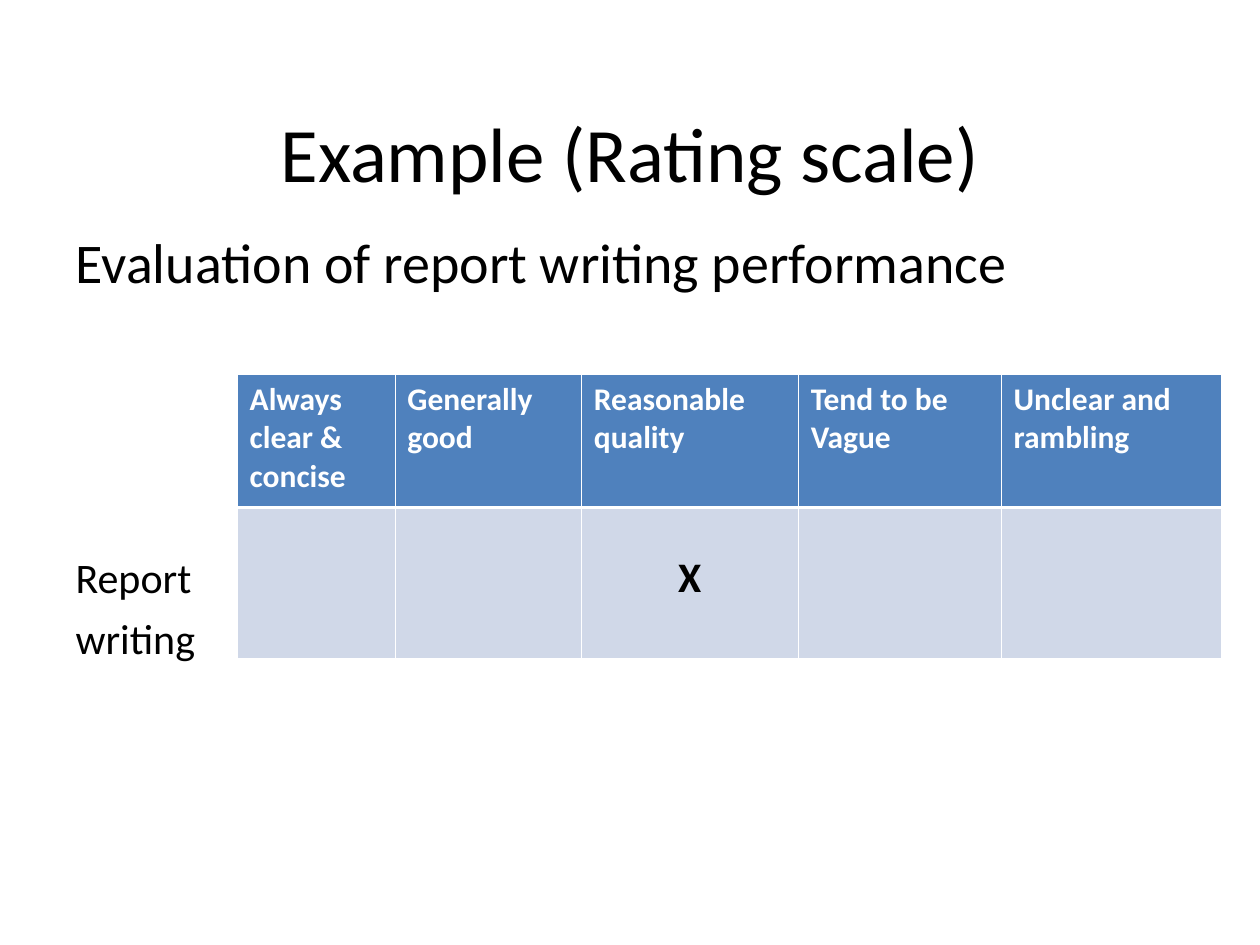
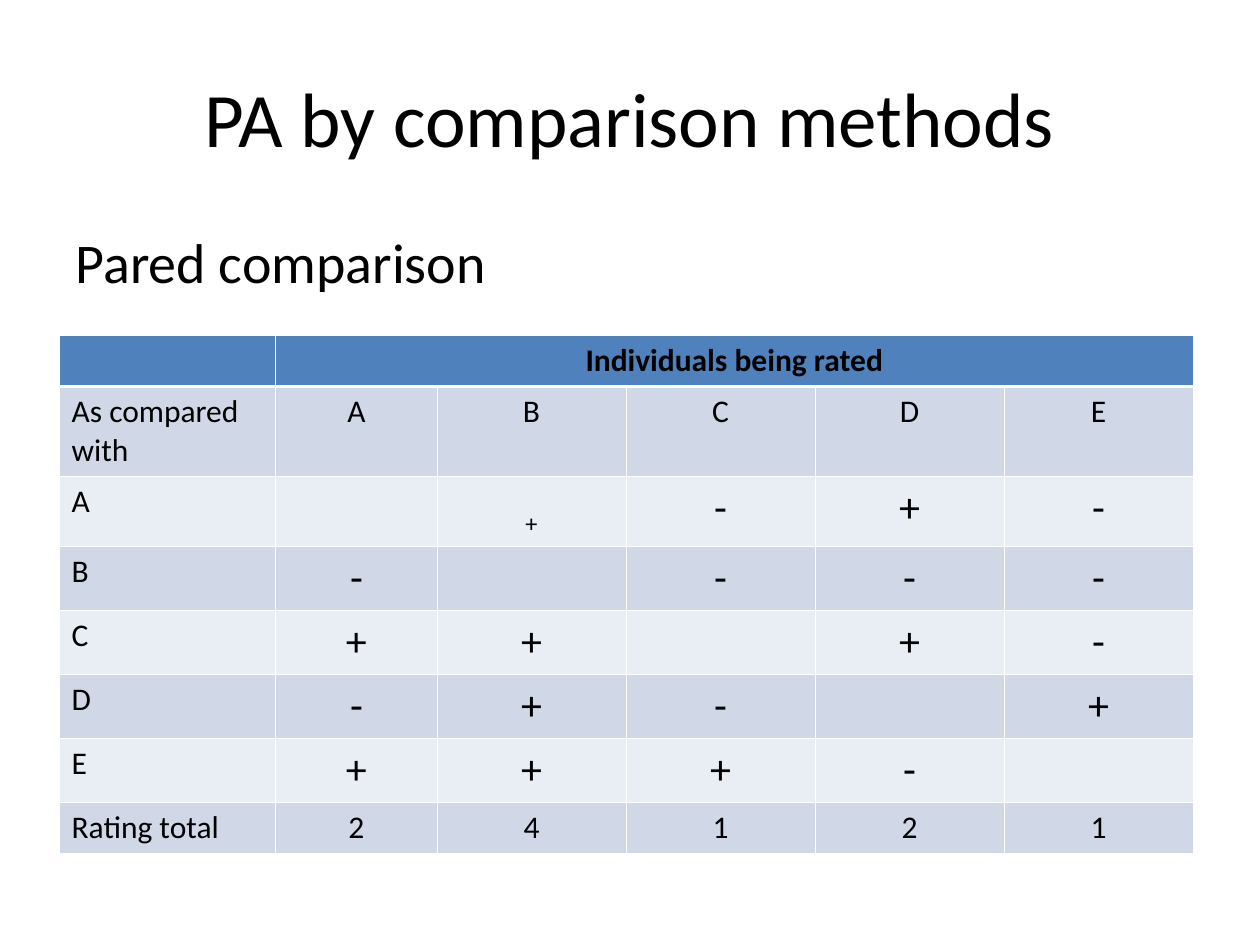
"""Build two slides on performance appraisal: a rating scale and a paired comparison."""
from lxml.etree import SubElement
from pptx import Presentation
from pptx.dml.color import RGBColor
from pptx.enum.text import MSO_ANCHOR as Anchor, MSO_AUTO_SIZE as AutoSize, PP_ALIGN as Align
from pptx.oxml.ns import qn
from pptx.util import Cm, Pt

FONT = "Calibri"
COLORS = {"text": "000000", "white": "FFFFFF", "header": "4F81BD",
          "band_dark": "D0D8E8", "band_light": "E9EDF4"}
MARKS = ("+", "-", "X")
THIN, THICK = Pt(0.45), Pt(1.47)


def format_runs(paragraph, size, color="text", bold=False):
    for run in paragraph.runs:
        run.font.name = FONT
        run.font.size = Pt(size)
        run.font.bold = bold
        run.font.color.rgb = RGBColor.from_string(COLORS[color])


def place(placeholder, left, top, width, height):
    placeholder.left, placeholder.top = Cm(left), Cm(top)
    placeholder.width, placeholder.height = Cm(width), Cm(height)
    placeholder.text_frame.auto_size = AutoSize.NONE


def add_titled_slide(deck, heading, top, height):
    slide = deck.slides.add_slide(deck.slide_layouts[1])
    title = slide.shapes.title
    place(title, 1.27, top, 22.86, height)
    title.text_frame.text = heading
    title.text_frame.vertical_anchor = Anchor.MIDDLE
    title.text_frame.paragraphs[0].alignment = Align.CENTER
    format_runs(title.text_frame.paragraphs[0], 44)
    return slide


def fill_body(slide, lines):
    """Write (text, size, space before) lines without bullets."""
    body = slide.placeholders[1]
    place(body, 1.27, 4.45, 22.86, 12.57)
    body.text_frame.text = "\n".join(text for text, _, _ in lines)
    for paragraph, (_, size, gap) in zip(body.text_frame.paragraphs, lines):
        properties = paragraph._p.get_or_add_pPr()
        properties.set("marL", str(Cm(0.95)))
        properties.set("indent", str(-Cm(0.95)))
        SubElement(properties, qn("a:buNone"))
        paragraph.space_before = Pt(gap)
        format_runs(paragraph, size)


def draw_borders(cell, row):
    top = THICK if row == 1 else THIN
    bottom = THICK if row == 0 else THIN
    for side, width in (("L", THIN), ("R", THIN), ("T", top), ("B", bottom)):
        line = SubElement(cell._tc.get_or_add_tcPr(), qn(f"a:ln{side}"), w=str(width))
        SubElement(SubElement(line, qn("a:solidFill")), qn("a:srgbClr"), val=COLORS["white"])


def add_rating_table(slide, rows, left, top, widths, heights, header_color, row_labels):
    """Add a banded table; with row labels, all later columns are centred."""
    table = slide.shapes.add_table(len(rows), len(widths), Cm(left), Cm(top),
                                   Cm(sum(widths)), Cm(sum(heights))).table
    table.first_row = table.horz_banding = False
    for column, width in zip(table.columns, widths):
        column.width = Cm(width)
    for row, (texts, height) in enumerate(zip(rows, heights)):
        table.rows[row].height = Cm(height)
        band = "header" if row == 0 else "band_dark" if row % 2 else "band_light"
        for column, text in enumerate(texts):
            cell = table.cell(row, column)
            draw_borders(cell, row)
            cell.fill.solid()
            cell.fill.fore_color.rgb = RGBColor.from_string(COLORS[band])
            cell.text_frame.text = text
            paragraph = cell.text_frame.paragraphs[0]
            centred = text in MARKS or (row_labels and column > 0)
            paragraph.alignment = Align.CENTER if centred else Align.LEFT
            format_runs(paragraph, 24 if text in MARKS else 18,
                        header_color if row == 0 else "text", row == 0 or text == "X")
    return table


def build_rating_scale(deck):
    slide = add_titled_slide(deck, "Example (Rating scale)", 1.96, 2.21)
    fill_body(slide, [("Evaluation of report writing performance", 32, 0),
                      ("Report", 24, 147), ("writing", 24, 6)])
    grades = ["Always clear & concise", "Generally good", "Reasonable quality",
              "Tend to be Vague", "Unclear and rambling"]
    scale = add_rating_table(slide, [grades, ["", "", "X", "", ""]], 4.78, 7.54,
                             [3.18, 3.76, 4.37, 4.09, 4.45], [2.69, 3.05], "white", False)
    scale.cell(1, 2).margin_top = Cm(0.9)


def build_paired_comparison(deck):
    slide = add_titled_slide(deck, "PA by comparison methods", 0.76, 3.18)
    fill_body(slide, [("Pared comparison", 32, 0)])
    people = list("ABCDE")
    ratings = [["", "+", "-", "+", "-"],
               ["-", "", "-", "-", "-"],
               ["+", "+", "", "+", "-"],
               ["-", "+", "-", "", "+"],
               ["+", "+", "+", "-", ""]]
    rows = [["", "Individuals being rated", "", "", "", ""],
            ["As compared with", *people],
            *([person, *marks] for person, marks in zip(people, ratings)),
            ["Rating total", "2", "4", "1", "2", "1"]]
    comparison = add_rating_table(slide, rows, 1.19, 6.76, [4.37, 3.25] + [3.81] * 4,
                                  [1.02, 1.78, 1.42] + [1.27] * 4 + [1.02], "text", True)
    comparison.cell(0, 1).merge(comparison.cell(0, 5))
    lowered_mark = comparison.cell(2, 2).text_frame.paragraphs[0].runs[0]
    lowered_mark._r.get_or_add_rPr().set("baseline", "-25000")


def main():
    deck = Presentation()
    deck.slide_width, deck.slide_height = Cm(25.4), Cm(19.05)
    build_rating_scale(deck)
    build_paired_comparison(deck)
    deck.save("out.pptx")


if __name__ == "__main__":
    main()
